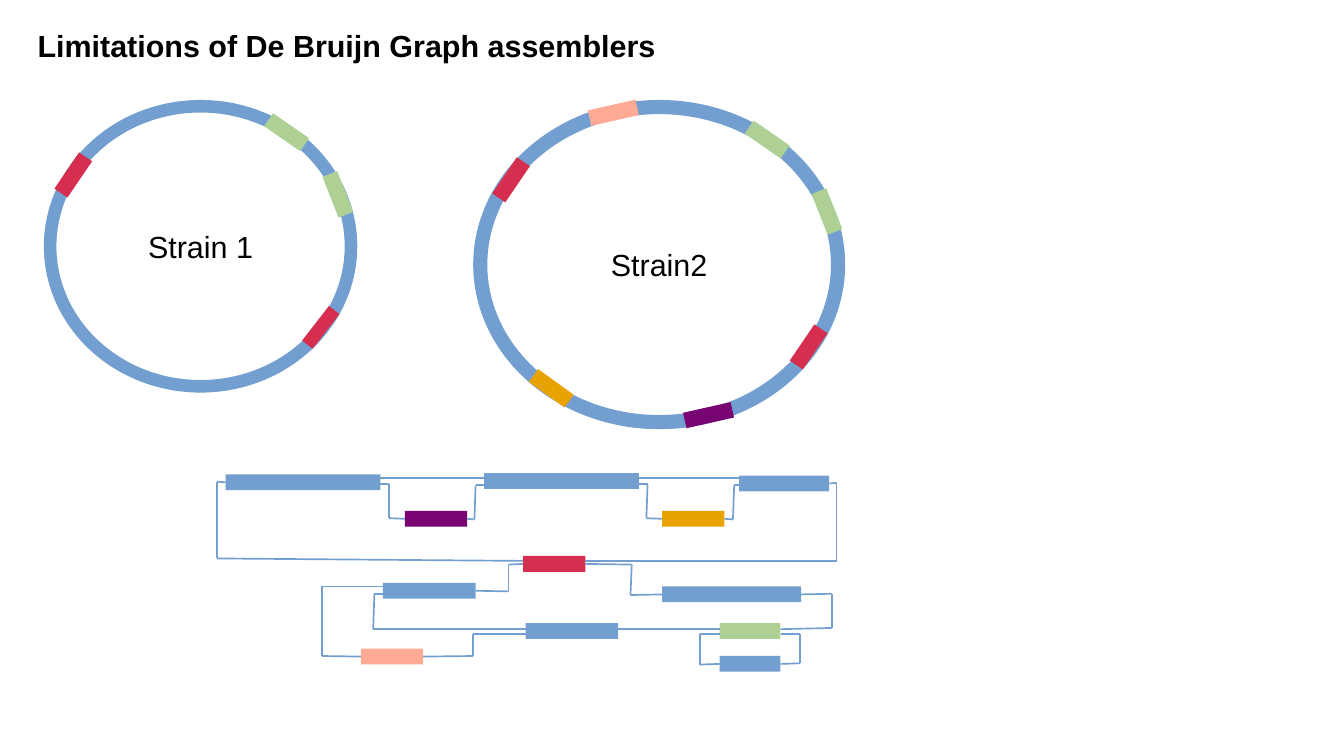
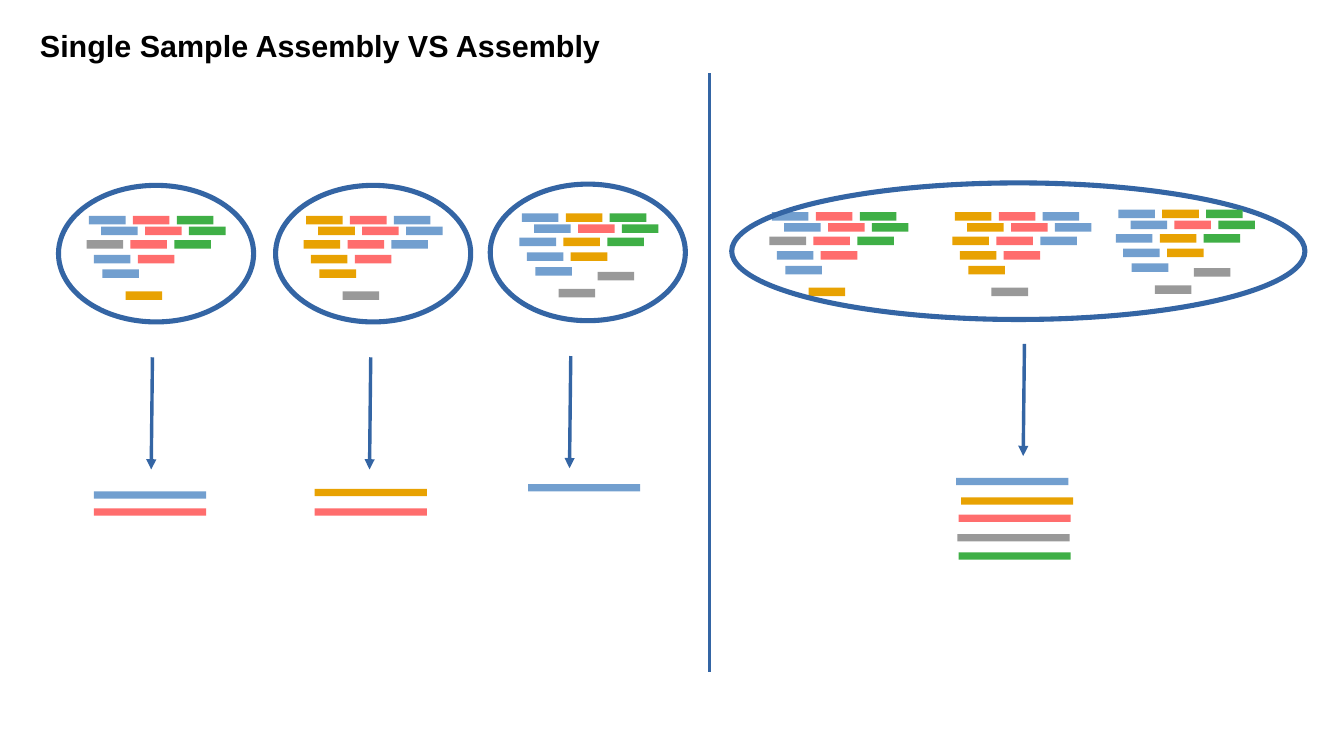
from pptx import Presentation
from pptx.dml.color import RGBColor
from pptx.enum.shapes import MSO_CONNECTOR, MSO_SHAPE
from pptx.enum.text import MSO_ANCHOR, PP_ALIGN
from pptx.oxml.ns import qn
from pptx.util import Pt
from lxml import etree

RECT, OVAL, DONUT = MSO_SHAPE.RECTANGLE, MSO_SHAPE.OVAL, MSO_SHAPE.DONUT
STRAIGHT = MSO_CONNECTOR.STRAIGHT
CENTER, MIDDLE = PP_ALIGN.CENTER, MSO_ANCHOR.MIDDLE

PX = 9144
SLIDE_W, SLIDE_H = 1102, 620
FONT, TEXT_PT = "Arial", 18
COLORS = {
    "black": "000000", "blue": "729FCF", "navy": "3465A4", "sage": "AFD095",
    "crimson": "D62E4E", "orange": "E8A202", "purple": "780373",
    "peach": "FFAA95", "red": "FF6D6D", "green": "3FAF46", "gray": "999999",
}

STRAINS = [
    ("Strain 1", (36, 82, 257, 240), [
        ((217, 102, 36, 13), 34.7, "sage"),
        ((259, 153, 36, 13), 68.5, "sage"),
        ((245, 263, 36, 11), 127.8, "crimson"),
        ((42, 137, 36, 13), 124.2, "crimson"),
    ]),
    ("Strain2", (388, 82, 305, 270), [
        ((611, 108, 36, 13), 34.7, "sage"),
        ((660, 167, 36, 13), 68.5, "sage"),
        ((401, 141, 36, 13), 124.2, "crimson"),
        ((645, 278, 36, 13), 124.2, "crimson"),
        ((434, 312, 36, 13), 35.8, "orange"),
        ((561, 334, 40, 13), 347.3, "purple"),
        ((483, 86, 40, 13), 347.3, "peach"),
    ]),
]
RING = 0.043

NODE_H = 13
GRAPH_NODES = [
    (185, 389, 127, "blue"), (397, 388, 127, "blue"), (606, 390, 74, "blue"),
    (332, 419, 51, "purple"), (543, 419, 51, "orange"),
    (429, 456, 51, "crimson"), (314, 478, 76, "blue"),
    (543, 481, 114, "blue"), (431, 511, 76, "blue"), (590, 511, 50, "sage"),
    (296, 532, 51, "peach"), (590, 538, 50, "blue"),
]
GRAPH_PATHS = [
    [(185, 395), (178, 395), (178, 458), (429, 460)],
    [(480, 460), (686, 460), (686, 396), (680, 396)],
    [(312, 392), (397, 392)],
    [(312, 397), (319, 397), (319, 425), (332, 425)],
    [(383, 426), (389, 426), (390, 398), (397, 398)],
    [(524, 392), (606, 392)],
    [(524, 397), (531, 397), (530, 425), (543, 425)],
    [(594, 426), (601, 426), (602, 398), (606, 398)],
    [(429, 463), (417, 463), (417, 485), (390, 485)],
    [(480, 463), (518, 463), (517, 488), (543, 488)],
    [(657, 487), (682, 487), (682, 515), (640, 516)],
    [(640, 520), (656, 520), (656, 544), (640, 544)],
    [(590, 520), (574, 520), (574, 545), (590, 545)],
    [(314, 481), (264, 481), (264, 538), (296, 538)],
    [(314, 487), (307, 487), (306, 516), (431, 516)],
    [(431, 520), (388, 520), (388, 538), (347, 538)],
    [(507, 516), (590, 516)],
]

READ_COLORS = {"B": "blue", "R": "red", "G": "green", "O": "orange", "X": "gray"}
READ_ROWS = [(2, 0), (12, 9), (0, 20), (6, 32), (13, 44), (32, 62), (64, 48)]
READ_STEP, READ_W, READ_H = 36, 30, 7
SAMPLE_1 = ["BRG", "BRG", "XRG", "BR", "B", "O"]
SAMPLE_2 = ["ORB", "ORB", "ORB", "OR", "O", "X"]
SAMPLE_3 = ["BOG", "BRG", "BOG", "BO", "B", "X", "X"]
CONTIG_W, CONTIG_H = 92, 6
ARROW_DX, ARROW_DY = -1, 92
ASSEMBLIES = [
    {"oval": (48, 152, 160, 112), "samples": [(71, 177, SAMPLE_1)],
     "arrow": (125, 293),
     "contigs": [(77, 403, "blue"), (77, 417, "red")]},
    {"oval": (226, 152, 160, 112), "samples": [(249, 177, SAMPLE_2)],
     "arrow": (304, 293),
     "contigs": [(258, 401, "orange"), (258, 417, "red")]},
    {"oval": (402, 151, 160, 112), "samples": [(426, 175, SAMPLE_3)],
     "arrow": (468, 292),
     "contigs": [(433, 397, "blue")]},
    {"oval": (600, 150, 470, 112),
     "samples": [(631, 174, SAMPLE_1), (781, 174, SAMPLE_2), (915, 172, SAMPLE_3)],
     "arrow": (840, 282),
     "contigs": [(784, 392, "blue"), (788, 408, "orange"), (786, 422, "red"),
                 (785, 438, "gray"), (786, 453, "green")]},
]
DIVIDER = ((582, 60), (582, 551))


def rgb(name):
    return RGBColor.from_string(COLORS[name])


def emu(values):
    return [round(v * PX) for v in values]


def style_text(p, bold=False):
    for r in p.runs:
        r.font.name = FONT
        r.font.size = Pt(TEXT_PT)
        r.font.bold = bold
        r.font.color.rgb = rgb("black")


def add_title(s, text, left):
    tf = s.shapes.add_textbox(*emu((left, 17, 717, 70))).text_frame
    tf.word_wrap = True
    tf.text = text
    style_text(tf.paragraphs[0], bold=True)


def add_filled(s, kind, box, color, rotation=0):
    sp = s.shapes.add_shape(kind, *emu(box))
    sp.shadow.inherit = False
    sp.fill.solid()
    sp.fill.fore_color.rgb = rgb(color)
    sp.line.fill.background()
    sp.rotation = rotation
    return sp


def add_oval(s, box):
    sp = s.shapes.add_shape(OVAL, *emu(box))
    sp.shadow.inherit = False
    sp.fill.background()
    sp.line.color.rgb = rgb("navy")
    sp.line.width = Pt(3)


def add_line(s, start, end, color, width=0, arrow=False):
    cx = s.shapes.add_connector(STRAIGHT, *emu(start + end))
    cx.line.color.rgb = rgb(color)
    cx.line.width = Pt(width)
    if arrow:
        ln = cx.line._get_or_add_ln()
        etree.SubElement(ln, qn("a:tailEnd"), type="triangle")
    etree.SubElement(cx._element.spPr, qn("a:effectLst"))
    return cx


def find_side(point, nodes):
    x, y = emu(point)
    for sp in nodes:
        if abs(y - sp.top - sp.height / 2) <= PX:
            for site, edge in ((1, sp.left), (3, sp.left + sp.width)):
                if abs(x - edge) <= PX:
                    return sp, site
    return None


def add_path(s, points, nodes):
    for start, end in zip(points, points[1:]):
        cx = add_line(s, start, end, "blue", 1)
        begin, finish = find_side(start, nodes), find_side(end, nodes)
        if begin:
            cx.begin_connect(*begin)
        if finish:
            cx.end_connect(*finish)


def add_strain(s, name, box, markers):
    sp = add_filled(s, DONUT, box, "blue")
    sp.adjustments[0] = RING
    tf = sp.text_frame
    tf.text = name
    tf.vertical_anchor = MIDDLE
    p = tf.paragraphs[0]
    p.alignment = CENTER
    style_text(p)
    for marker, rotation, color in markers:
        add_filled(s, RECT, marker, color, rotation)


def add_reads(s, left, top, rows):
    for (dx, dy), letters in zip(READ_ROWS, rows):
        for col, letter in enumerate(letters):
            box = (left + dx + col * READ_STEP, top + dy, READ_W, READ_H)
            add_filled(s, RECT, box, READ_COLORS[letter])


def add_assembly(s, oval, samples, arrow, contigs):
    add_reads(s, *samples[0])
    add_oval(s, oval)
    for sample in samples[1:]:
        add_reads(s, *sample)
    x, y = arrow
    add_line(s, arrow, (x + ARROW_DX, y + ARROW_DY), "navy", arrow=True)
    for left, top, color in contigs:
        add_filled(s, RECT, (left, top, CONTIG_W, CONTIG_H), color)


def build_limitations(s):
    add_title(s, "Limitations of De Bruijn Graph assemblers", 21)
    for strain in STRAINS:
        add_strain(s, *strain)
    nodes = [add_filled(s, RECT, (x, y, w, NODE_H), color)
             for x, y, w, color in GRAPH_NODES]
    for points in GRAPH_PATHS:
        add_path(s, points, nodes)


def build_comparison(s):
    add_title(s, "Single Sample Assembly VS Assembly", 23)
    for assembly in ASSEMBLIES:
        add_assembly(s, **assembly)
    add_line(s, *DIVIDER, "navy")


def main():
    prs = Presentation()
    prs.slide_width, prs.slide_height = emu((SLIDE_W, SLIDE_H))
    for build in (build_limitations, build_comparison):
        build(prs.slides.add_slide(prs.slide_layouts[6]))
    prs.save("out.pptx")


if __name__ == "__main__":
    main()
